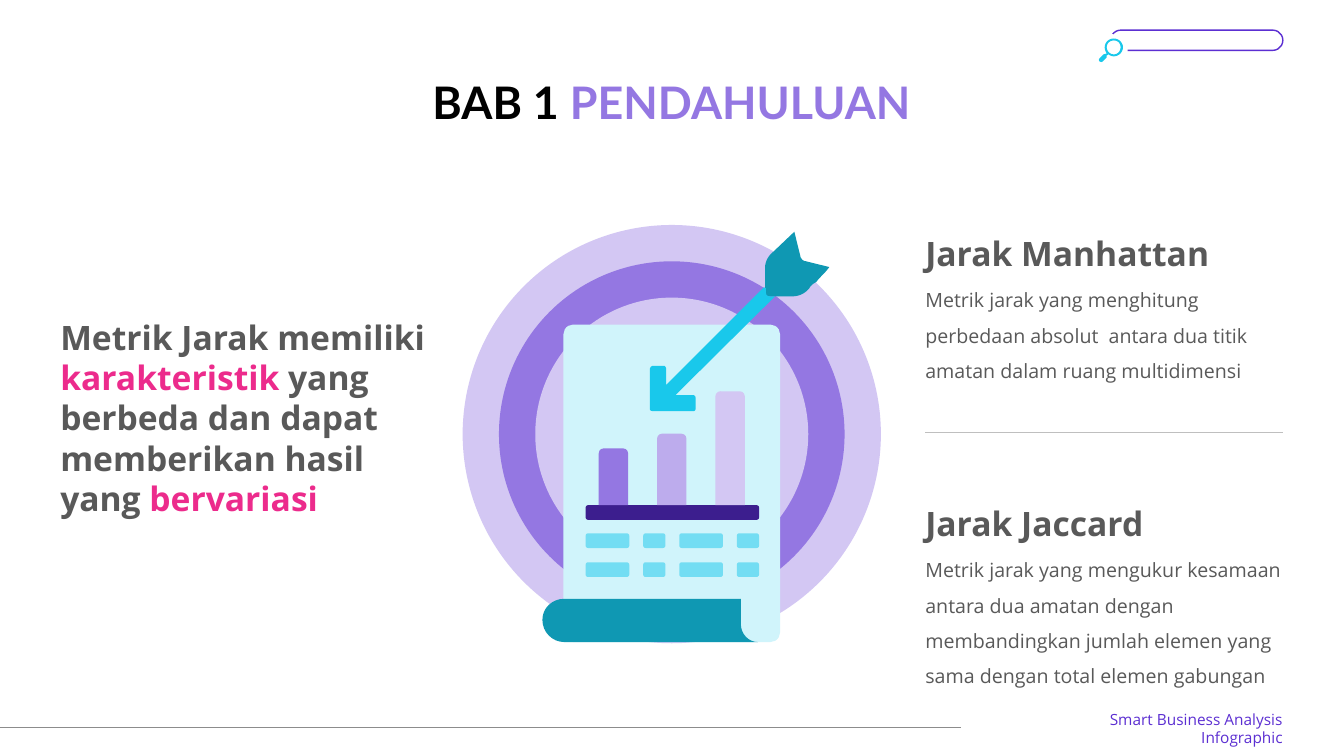
"""Build the chapter 1 introduction slide on distance metrics."""
import pptx
import pptx.dml.color
import pptx.enum.shapes
import pptx.enum.text
import pptx.oxml.ns
import pptx.util
from lxml import etree

Cm = pptx.util.Cm
RGB = pptx.dml.color.RGBColor
SHAPE = pptx.enum.shapes.MSO_SHAPE
ALIGN = pptx.enum.text.PP_ALIGN
ANCHOR = pptx.enum.text.MSO_ANCHOR
AUTO = pptx.enum.text.MSO_AUTO_SIZE

BLACK = RGB(0x00, 0x00, 0x00)
WHITE = RGB(0xFF, 0xFF, 0xFF)
TEXT_GRAY = RGB(0x59, 0x59, 0x59)
RULE_GRAY = RGB(0xBF, 0xBF, 0xBF)
FOOTER_GRAY = RGB(0x8C, 0x8C, 0x8C)
PINK = RGB(0xEC, 0x2B, 0x8C)
INDIGO = RGB(0x3C, 0x1E, 0x8E)
VIOLET = RGB(0x5C, 0x2F, 0xD2)
PURPLE = RGB(0x94, 0x77, 0xE2)
LILAC = RGB(0xBD, 0xAC, 0xED)
LAVENDER = RGB(0xD3, 0xC7, 0xF3)
TEAL = RGB(0x0F, 0x98, 0xB3)
CYAN = RGB(0x19, 0xC8, 0xEB)
SKY = RGB(0x73, 0xDD, 0xF3)
ICE = RGB(0xD0, 0xF4, 0xFB)

FLETCHING = [(20.57, 7.11), (20.5, 7.14, 20.42, 7.21, 20.4, 7.26),
             (20.27, 7.42, 20.12, 7.47, 19.94, 7.47), (19.51, 7.47),
             (19.3, 7.47, 19.3, 7.47, 19.28, 7.26), (19.28, 6.76),
             (19.28, 6.63, 19.33, 6.5, 19.43, 6.4), (20.02, 5.84),
             (20.07, 6.05, 20.12, 6.25, 20.17, 6.45),
             (20.17, 6.5, 20.24, 6.58, 20.29, 6.58), (20.9, 6.73),
             (20.8, 6.88, 20.68, 6.96, 20.57, 7.11)]
SHAFT = [(19.25, 7.24), (19.3, 7.26), (19.3, 7.47, 19.3, 7.47, 19.51, 7.47),
         (19.53, 7.47), (17.02, 9.96), (17.48, 9.96),
         (17.5, 9.96, 17.53, 9.98, 17.53, 10.03), (17.53, 10.31),
         (17.53, 10.34, 17.5, 10.36, 17.48, 10.36), (16.46, 10.36),
         (16.41, 10.36, 16.38, 10.34, 16.38, 10.31), (16.38, 9.3),
         (16.38, 9.27, 16.41, 9.22, 16.46, 9.22), (16.74, 9.22),
         (16.76, 9.22, 16.79, 9.27, 16.79, 9.3), (16.79, 9.7)]
SCROLL = [(14.22, 15.09), (18.67, 15.09), (18.67, 15.72),
          (18.67, 15.98, 18.87, 16.18, 19.1, 16.18), (14.22, 16.18),
          (13.92, 16.18, 13.67, 15.93, 13.67, 15.62),
          (13.67, 15.32, 13.92, 15.09, 14.22, 15.09)]
MAGNIFIER = [(27.71, 1.47), (27.81, 1.37), (27.89, 1.35),
             (27.86, 1.3, 27.84, 1.24, 27.84, 1.19),
             (27.84, 1.07, 27.94, 0.97, 28.07, 0.97),
             (28.19, 0.97, 28.3, 1.07, 28.3, 1.19),
             (28.3, 1.32, 28.19, 1.42, 28.07, 1.42),
             (28.02, 1.42, 27.97, 1.4, 27.94, 1.37), (27.89, 1.4),
             (27.89, 1.45), (27.79, 1.55),
             (27.74, 1.58, 27.74, 1.55, 27.71, 1.55),
             (27.69, 1.52, 27.69, 1.5, 27.71, 1.47)]
LENS = [(28.07, 1.37), (28.17, 1.37, 28.24, 1.29, 28.24, 1.19),
        (28.24, 1.09, 28.17, 1.02, 28.07, 1.02),
        (27.97, 1.02, 27.89, 1.09, 27.89, 1.19),
        (27.89, 1.29, 27.97, 1.37, 28.07, 1.37)]


def add_run(p, text, size=24, font="Open Sans", color=TEXT_GRAY, bold=False):
    """Append formatted text to a paragraph."""
    r = p.add_run()
    r.text = text
    r.font.size = pptx.util.Pt(size)
    r.font.name = font
    r.font.bold = bold
    r.font.color.rgb = color


def set_frame(tf, auto_size, anchor=ANCHOR.TOP, inset=0):
    """Set wrapping, anchor and margins, then return the first paragraph."""
    tf.word_wrap = True
    tf.auto_size = auto_size
    tf.vertical_anchor = anchor
    tf.margin_left = tf.margin_right = 0
    tf.margin_top = tf.margin_bottom = Cm(inset)
    return tf.paragraphs[0]


def add_text(shapes, x, y, w, h, **frame):
    """Add a text box that grows with its text and return its paragraph."""
    sp = shapes.add_textbox(Cm(x), Cm(y), Cm(w), Cm(h))
    return set_frame(sp.text_frame, AUTO.SHAPE_TO_FIT_TEXT, **frame)


def paint(sp, fill):
    """Give a shape a flat fill, without line or shadow."""
    sp.shadow.inherit = False
    sp.line.fill.background()
    sp.fill.solid()
    sp.fill.fore_color.rgb = fill


def add_box(shapes, kind, x, y, w, h, fill, adj=()):
    """Add a flat preset shape."""
    sp = shapes.add_shape(kind, Cm(x), Cm(y), Cm(w), Cm(h))
    for i, value in enumerate(adj):
        sp.adjustments[i] = value
    paint(sp, fill)
    return sp


def flatten(steps, pieces=8):
    """Turn lines and cubic curves in centimetres into a list of points."""
    points = [steps[0]]
    for step in steps[1:]:
        if len(step) == 2:
            points.append(step)
            continue
        start = points[-1]
        for i in range(1, pieces + 1):
            t = i / pieces
            u = 1 - t
            points.append(tuple(
                u**3 * start[k] + 3 * u * u * t * step[k]
                + 3 * u * t * t * step[k + 2] + t**3 * step[k + 4]
                for k in (0, 1)))
    return [(Cm(x), Cm(y)) for x, y in points]


def add_outline(shapes, fill, *contours):
    """Add a flat freeform made of closed contours."""
    first, *others = [flatten(c) for c in contours]
    builder = shapes.build_freeform(*first[0])
    builder.add_line_segments(first[1:])
    for points in others:
        builder.move_to(*points[0])
        builder.add_line_segments(points[1:])
    paint(builder.convert_to_shape(), fill)


def add_rule(shapes, x1, x2, y, color):
    """Add a thin horizontal line."""
    line = shapes.add_connector(pptx.enum.shapes.MSO_CONNECTOR.STRAIGHT,
                                Cm(x1), Cm(y), Cm(x2), Cm(y))
    line.line.color.rgb = color
    line.line.width = pptx.util.Pt(0.75)
    etree.SubElement(line._element.spPr, pptx.oxml.ns.qn("a:effectLst"))


def add_title(sp):
    """Place and fill the title placeholder."""
    sp.left, sp.top, sp.width, sp.height = Cm(1.52), Cm(2.03), Cm(30.81), Cm(2.06)
    p = set_frame(sp.text_frame, AUTO.NONE)
    p.alignment = ALIGN.CENTER
    p.line_spacing = 0.9
    add_run(p, "BAB 1 ", size=32, font="Lato", color=BLACK, bold=True)
    add_run(p, "PENDAHULUAN", size=32, font="Lato", color=PURPLE, bold=True)


def add_metric(shapes, y, h, heading, description):
    """Add a heading with its description in the right column."""
    add_run(add_text(shapes, 23.32, y, 9.02, 1.02), heading, bold=True)
    p = add_text(shapes, 23.32, y + 0.97, 9.02, h, inset=0.13)
    p.line_spacing = 1.5
    add_run(p, description, size=14)


def add_illustration(shapes):
    """Draw the target, the report and the arrow."""
    for d, fill in ((10.54, LAVENDER), (8.71, PURPLE), (6.88, LAVENDER)):
        add_box(shapes, SHAPE.OVAL, 16.93 - d / 2, 10.94 - d / 2, d, d, fill)
    add_box(shapes, SHAPE.ROUNDED_RECTANGLE, 14.2, 8.18, 5.46, 8, ICE, [0.045])
    add_outline(shapes, TEAL, FLETCHING)
    add_outline(shapes, CYAN, SHAFT)
    for y in (13.44, 14.17):
        x = 14.76
        for w in (1.1, 0.56, 1.1, 0.56):
            add_box(shapes, SHAPE.ROUNDED_RECTANGLE, x, y, w, 0.37, SKY, [0.167])
            x += w + 0.35
    add_box(shapes, SHAPE.ROUNDED_RECTANGLE, 14.76, 12.73, 4.37, 0.37, INDIGO, [0.167])
    for i, (h, fill) in enumerate(((1.43, PURPLE), (1.8, LILAC), (2.87, LAVENDER))):
        add_box(shapes, SHAPE.ROUND_2_SAME_RECTANGLE, 15.09 + 1.47 * i, 12.73 - h,
                0.74, h, fill, [0.167, 0])
    add_outline(shapes, TEAL, SCROLL)


def add_decor(shapes):
    """Draw the footer and the search bar."""
    p = add_text(shapes, 25.83, 18.11, 6.5, 0.48, anchor=ANCHOR.MIDDLE)
    p.alignment = ALIGN.RIGHT
    add_run(p, "Smart Business Analysis Infographic", size=11, color=VIOLET)
    bar = add_box(shapes, SHAPE.ROUNDED_RECTANGLE, 27.99, 0.76, 4.34, 0.51, WHITE, [0.5])
    bar.fill.background()
    bar.line.color.rgb = VIOLET
    bar.line.width = pptx.util.Pt(1)
    add_box(shapes, SHAPE.OVAL, 27.61, 0.86, 0.81, 0.81, WHITE)
    add_outline(shapes, CYAN, MAGNIFIER, LENS)
    add_rule(shapes, 0, 24.23, 18.34, FOOTER_GRAY)


def main():
    """Build and save the slide."""
    prs = pptx.Presentation()
    prs.slide_width, prs.slide_height = Cm(33.87), Cm(19.05)
    shapes = prs.slides.add_slide(prs.slide_layouts.get_by_name("Title Only")).shapes
    add_title(shapes.title)
    p = add_text(shapes, 1.52, 7.98, 9.42, 5.13)
    for text, color in (("Metrik Jarak memiliki ", TEXT_GRAY), ("karakteristik", PINK),
                        (" yang berbeda dan dapat memberikan hasil yang ", TEXT_GRAY),
                        ("bervariasi", PINK)):
        add_run(p, text, color=color, bold=True)
    add_metric(shapes, 5.87, 2.84, "Jarak Manhattan",
               "Metrik jarak yang menghitung perbedaan absolut  antara dua titik "
               "amatan dalam ruang multidimensi")
    add_metric(shapes, 12.67, 3.76, "Jarak Jaccard",
               "Metrik jarak yang mengukur kesamaan antara dua amatan dengan "
               "membandingkan jumlah elemen yang sama dengan total elemen gabungan")
    add_rule(shapes, 23.32, 32.34, 10.9, RULE_GRAY)
    add_illustration(shapes.add_group_shape().shapes)
    add_decor(shapes)
    prs.save("out.pptx")


if __name__ == "__main__":
    main()
